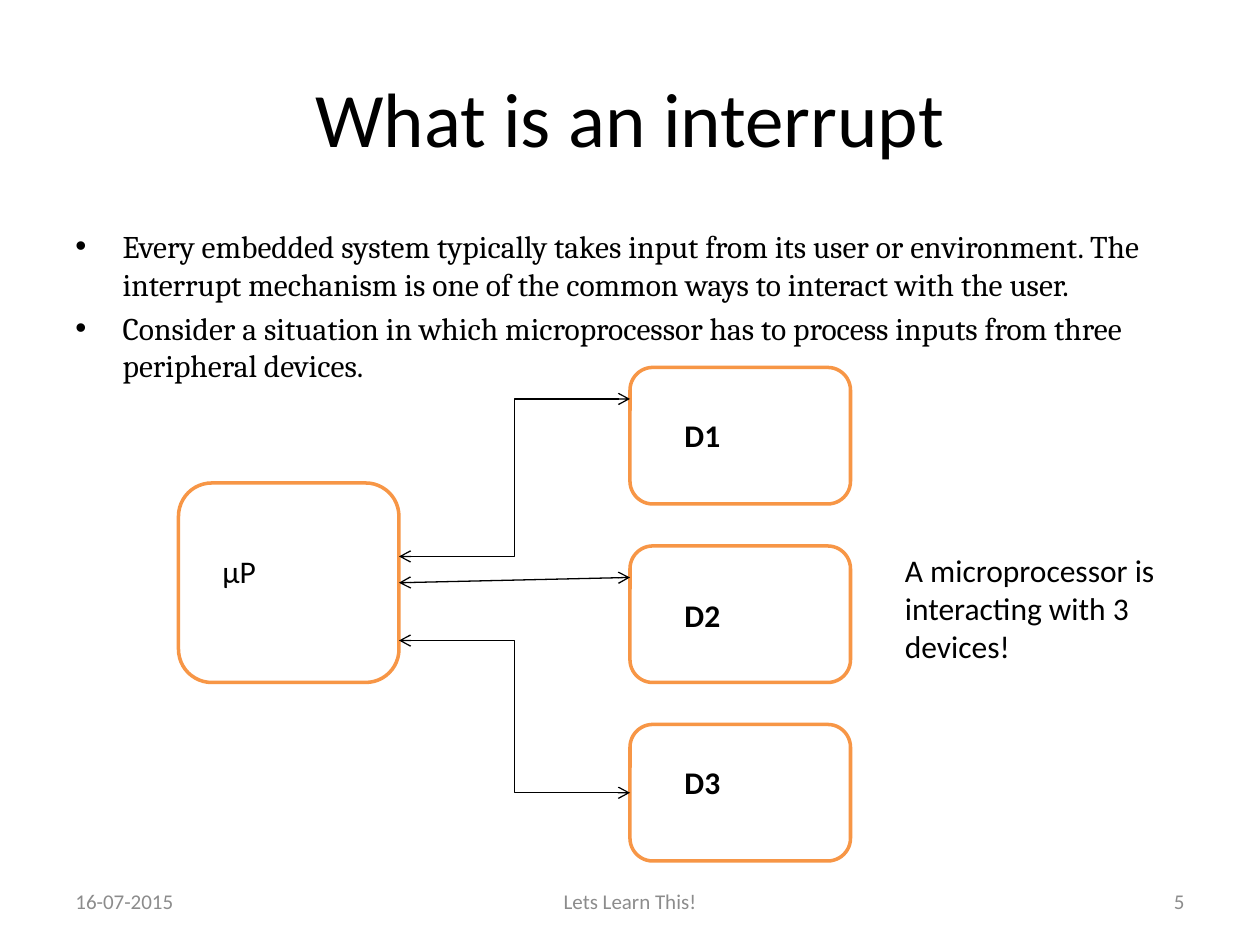
from dataclasses import dataclass

from pptx import Presentation
from pptx.dml.color import RGBColor
from pptx.enum.shapes import MSO_CONNECTOR as Link, MSO_SHAPE as Preset
from pptx.enum.text import MSO_ANCHOR as Anchor, PP_ALIGN as Align
from pptx.oxml.xmlchemy import OxmlElement
from pptx.shapes.autoshape import Shape
from pptx.shapes.connector import Connector
from pptx.slide import Slide
from pptx.util import Inches, Pt

BLACK = RGBColor(0x00, 0x00, 0x00)
WHITE = RGBColor(0xFF, 0xFF, 0xFF)
ORANGE = RGBColor(0xF7, 0x96, 0x46)
GREY = RGBColor(0x8C, 0x8C, 0x8C)

SLIDE_WIDTH, SLIDE_HEIGHT = Inches(10), Inches(7.5)
COLUMNS, ROWS = 120, 90
RIGHT_SIDE = 3


@dataclass(frozen=True)
class Area:
    col: float
    row: float
    cols: float
    rows: float


@dataclass(frozen=True)
class Label:
    area: Area
    paragraphs: tuple[str, ...]
    size: float = 18
    color: RGBColor = BLACK
    font: str = "Calibri"
    bold: bool = False
    align: Align = Align.LEFT
    anchor: Anchor = Anchor.TOP
    bulleted: bool = False


@dataclass(frozen=True)
class Signal:
    processor_row: float
    device_row: float
    kind: Link


def x(cols: float) -> int:
    return round(SLIDE_WIDTH * cols / COLUMNS)


def y(rows: float) -> int:
    return round(SLIDE_HEIGHT * rows / ROWS)


def place(area: Area) -> tuple[int, int, int, int]:
    return x(area.col), y(area.row), x(area.cols), y(area.rows)


def draw_label(slide: Slide, label: Label) -> None:
    frame = slide.shapes.add_textbox(*place(label.area)).text_frame
    frame.word_wrap = True
    frame.vertical_anchor = label.anchor
    for index, wording in enumerate(label.paragraphs):
        paragraph = frame.add_paragraph() if index else frame.paragraphs[0]
        paragraph.alignment = label.align
        if label.bulleted:
            paragraph.space_before = Pt(label.size * 0.2)
            properties = paragraph._p.get_or_add_pPr()
            properties.set("marL", str(x(4.5)))
            properties.set("indent", str(-x(4.5)))
            bullet_font = OxmlElement("a:buFont")
            bullet_font.set("typeface", "Arial")
            bullet = OxmlElement("a:buChar")
            bullet.set("char", "•")
            properties.extend((bullet_font, bullet))
        run = paragraph.add_run()
        run.text = wording
        run.font.name = label.font
        run.font.size = Pt(label.size)
        run.font.bold = label.bold
        run.font.color.rgb = label.color


def draw_unit(slide: Slide, area: Area) -> Shape:
    unit = slide.shapes.add_shape(Preset.ROUNDED_RECTANGLE, *place(area))
    unit.shadow.inherit = False
    unit.fill.solid()
    unit.fill.fore_color.rgb = WHITE
    unit.line.color.rgb = ORANGE
    unit.line.width = Pt(2)
    return unit


def draw_signal(slide: Slide, signal: Signal) -> Connector:
    link = slide.shapes.add_connector(
        signal.kind,
        x(PROCESSOR.col + PROCESSOR.cols), y(signal.processor_row),
        x(DEVICE_COL), y(signal.device_row),
    )
    link.line.color.rgb = BLACK
    link.line.width = Pt(0.75)
    outline = link.line._get_or_add_ln()
    for end in ("a:headEnd", "a:tailEnd"):
        arrowhead = OxmlElement(end)
        arrowhead.set("type", "arrow")
        outline.append(arrowhead)
    link._element.spPr.append(OxmlElement("a:effectLst"))
    return link


PROCESSOR = Area(17, 46, 21, 19)
PROCESSOR_MIDDLE = PROCESSOR.row + PROCESSOR.rows / 2
DEVICE_COL = 60
DEVICES = [Area(DEVICE_COL, row, 21, 13) for row in (35, 52, 69)]
DEVICE_NAME_ROWS = {"D1": 39, "D2": 56.2, "D3": 72.1}

SIGNALS = [
    Signal(53, 38, Link.ELBOW),
    Signal(PROCESSOR_MIDDLE, 55, Link.STRAIGHT),
    Signal(61, 75.5, Link.ELBOW),
]

FOOTER_ROW, FOOTER_ROWS = 83.4, 4.8
FOOTERS = [
    Label(Area(col, FOOTER_ROW, cols, FOOTER_ROWS), (wording,), 12, GREY,
          align=align, anchor=Anchor.MIDDLE)
    for col, cols, wording, align in (
        (6, 28, "16-07-2015", Align.LEFT),
        (41, 38, "Lets Learn This!", Align.CENTER),
        (86, 28, "5", Align.RIGHT),
    )
]

LABELS = [
    Label(Area(6, 3.6, 108, 15), ("What is an interrupt",), 44,
          align=Align.CENTER, anchor=Anchor.MIDDLE),
    Label(
        Area(6, 21, 108, 59.4),
        (
            "Every embedded system typically takes input from its user or environment. "
            "The interrupt mechanism is one of the common ways to interact with the user.",
            "Consider a situation in which microprocessor has to process inputs "
            "from three peripheral devices.",
        ),
        font="Cambria",
        bulleted=True,
    ),
    *FOOTERS,
]

DIAGRAM_LABELS = [
    Label(Area(20, 52, 15, 4.8), ("µP",)),
    *(Label(Area(64, row, 15, 4.8), (name,), bold=True)
      for name, row in DEVICE_NAME_ROWS.items()),
    Label(Area(85, 51.9, 32, 12.1),
          ("A microprocessor is interacting with 3 devices!",)),
]


def main() -> None:
    deck = Presentation()
    deck.slide_width, deck.slide_height = SLIDE_WIDTH, SLIDE_HEIGHT
    slide = deck.slides.add_slide(deck.slide_layouts[6])
    for label in LABELS:
        draw_label(slide, label)
    processor = draw_unit(slide, PROCESSOR)
    for device in DEVICES:
        draw_unit(slide, device)
    for signal in SIGNALS:
        link = draw_signal(slide, signal)
        if signal.kind == Link.STRAIGHT:
            link.begin_connect(processor, RIGHT_SIDE)
    for label in DIAGRAM_LABELS:
        draw_label(slide, label)
    deck.save("out.pptx")


if __name__ == "__main__":
    main()
